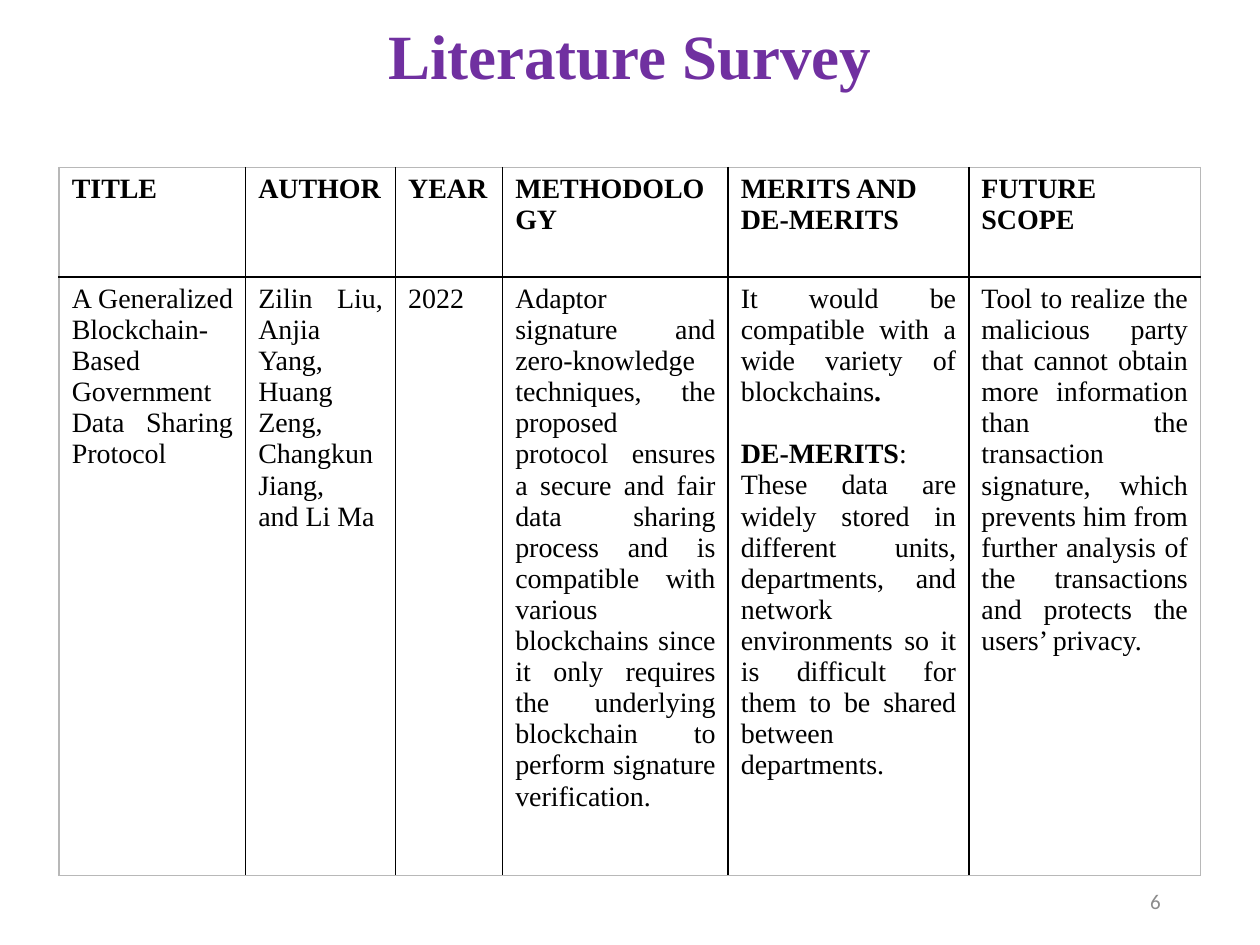
from dataclasses import dataclass

from lxml import etree
from pptx import Presentation
from pptx.dml.color import RGBColor
from pptx.enum import text
from pptx.oxml import ns
from pptx.util import Inches, Pt


@dataclass(frozen=True)
class Theme:
    font: str = "Times New Roman"
    number_font: str = "Calibri"
    title_color: str = "7030A0"
    ink: str = "000000"
    frame: str = "B8B8B8"
    muted: str = "8C8C8C"
    title_size: int = 36
    body_size: int = 16
    number_size: int = 12
    paragraph_gap: float = 17.7


THEME = Theme()
LEFT, JUSTIFY = text.PP_ALIGN.LEFT, text.PP_ALIGN.JUSTIFY
COLUMN_WIDTHS = [1.48, 1.19, 0.85, 1.79, 1.91, 1.84]
ROW_HEIGHTS = [0.87, 4.75]
HEADERS = ["TITLE", "AUTHOR", "YEAR", "METHODOLOGY",
           "MERITS AND DE-MERITS", "FUTURE SCOPE"]

# Each cell is a list of paragraphs; each paragraph a list of (words, bold) runs.
STUDY = [
    [[("A Generalized Blockchain-Based Government Data Sharing Protocol", False)]],
    [[("Zilin Liu, Anjia Yang, Huang Zeng, Changkun Jiang,", False)],
     [("and Li Ma", False)]],
    [[("2022", False)]],
    [[("Adaptor signature and zero-knowledge techniques, the proposed protocol "
       "ensures a secure and fair data sharing process and is compatible with "
       "various blockchains since it only requires the underlying blockchain to "
       "perform signature verification.", False)]],
    [[("It would be compatible with a wide variety of blockchains", False),
      (".", True)],
     [("DE-MERITS", True), (":", False)],
     [("These data are widely stored in different units, departments, and "
       "network environments so it is difficult for them to be shared between "
       "departments.", False)]],
    [[("Tool to realize the malicious party that cannot obtain more information "
       "than the transaction signature, which prevents him from further analysis "
       "of the transactions and protects the users’ privacy.", False)]],
]
YEAR_COLUMN = HEADERS.index("YEAR")
MERITS_COLUMN = HEADERS.index("MERITS AND DE-MERITS")


def style_run(r, font, size, color, bold=False):
    r.font.name = font
    r.font.size = Pt(size)
    r.font.bold = bold
    r.font.color.rgb = RGBColor.from_string(color)


def add_title(s, words):
    sp = s.shapes.title
    sp.left, sp.top = Inches(0.69), Inches(0.18)
    sp.width, sp.height = Inches(8.62), Inches(0.58)
    tf = sp.text_frame
    tf.text = words
    tf.vertical_anchor = text.MSO_ANCHOR.MIDDLE
    p = tf.paragraphs[0]
    p.alignment = text.PP_ALIGN.CENTER
    p.line_spacing = 0.9
    style_run(p.runs[0], THEME.font, THEME.title_size, THEME.title_color, True)


def add_page_number(s, number):
    sp = s.shapes.add_textbox(Inches(7.06), Inches(6.95), Inches(2.25), Inches(0.4))
    tf = sp.text_frame
    tf.word_wrap = True
    tf.vertical_anchor = text.MSO_ANCHOR.MIDDLE
    tf.text = number
    p = tf.paragraphs[0]
    p.alignment = text.PP_ALIGN.RIGHT
    style_run(p.runs[0], THEME.number_font, THEME.number_size, THEME.muted)


def set_borders(cell, row, col):
    """Rule the inner edges in ink and the outer edges in the frame colour."""
    outer = {"L": col == 0, "R": col == len(COLUMN_WIDTHS) - 1,
             "T": row == 0, "B": row == len(ROW_HEIGHTS) - 1}
    tc_pr = cell._tc.get_or_add_tcPr()
    for side, is_outer in outer.items():
        ln = etree.SubElement(tc_pr, ns.qn(f"a:ln{side}"), w=str(Pt(1)))
        fill = etree.SubElement(ln, ns.qn("a:solidFill"))
        etree.SubElement(fill, ns.qn("a:srgbClr"),
                         val=THEME.frame if is_outer else THEME.ink)


def fill_cell(cell, paragraphs, alignment):
    tf = cell.text_frame
    for i, runs in enumerate(paragraphs):
        p = tf.add_paragraph() if i else tf.paragraphs[0]
        p.alignment = alignment
        for words, bold in runs:
            r = p.add_run()
            r.text = words
            style_run(r, THEME.font, THEME.body_size, THEME.ink, bold)


def add_survey_table(s):
    rows = [[[[(header, True)]] for header in HEADERS], STUDY]
    table = s.shapes.add_table(
        len(rows), len(HEADERS), Inches(0.47), Inches(1.33),
        Inches(sum(COLUMN_WIDTHS)), Inches(sum(ROW_HEIGHTS))).table
    table.horz_banding = False
    for column, width in zip(table.columns, COLUMN_WIDTHS):
        column.width = Inches(width)
    for row, height in zip(table.rows, ROW_HEIGHTS):
        row.height = Inches(height)
    for i, row in enumerate(rows):
        for j, paragraphs in enumerate(row):
            cell = table.cell(i, j)
            set_borders(cell, i, j)
            cell.fill.background()
            fill_cell(cell, paragraphs,
                      LEFT if i == 0 or j == YEAR_COLUMN else JUSTIFY)
    demerits = table.cell(1, MERITS_COLUMN).text_frame.paragraphs[1]
    demerits.space_before = Pt(THEME.paragraph_gap)


def main():
    prs = Presentation()
    prs.slide_width, prs.slide_height = Inches(10), Inches(7.5)
    s = prs.slides.add_slide(prs.slide_layouts[5])
    add_title(s, "Literature Survey")
    add_page_number(s, "6")
    add_survey_table(s)
    prs.save("out.pptx")


if __name__ == "__main__":
    main()
